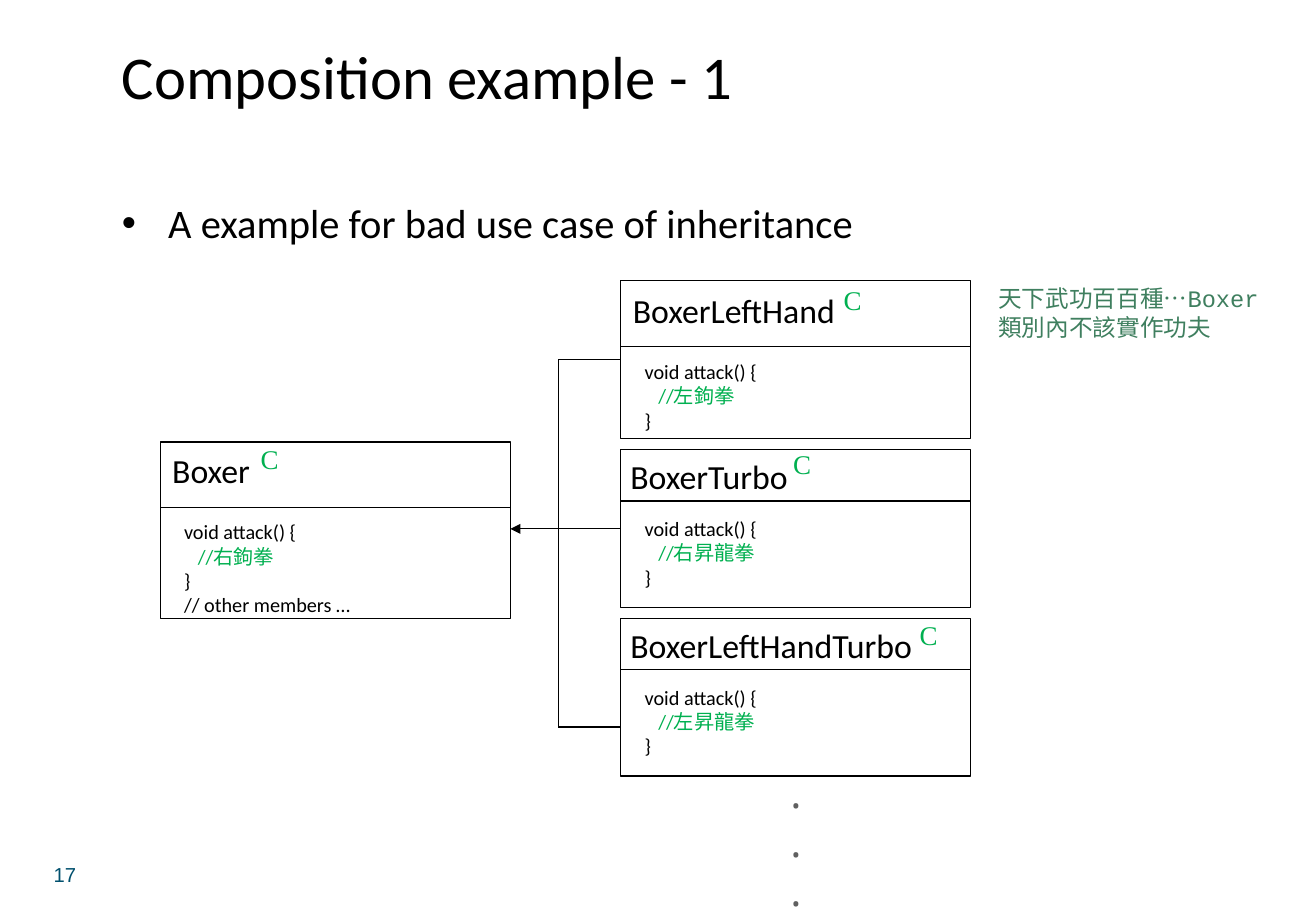
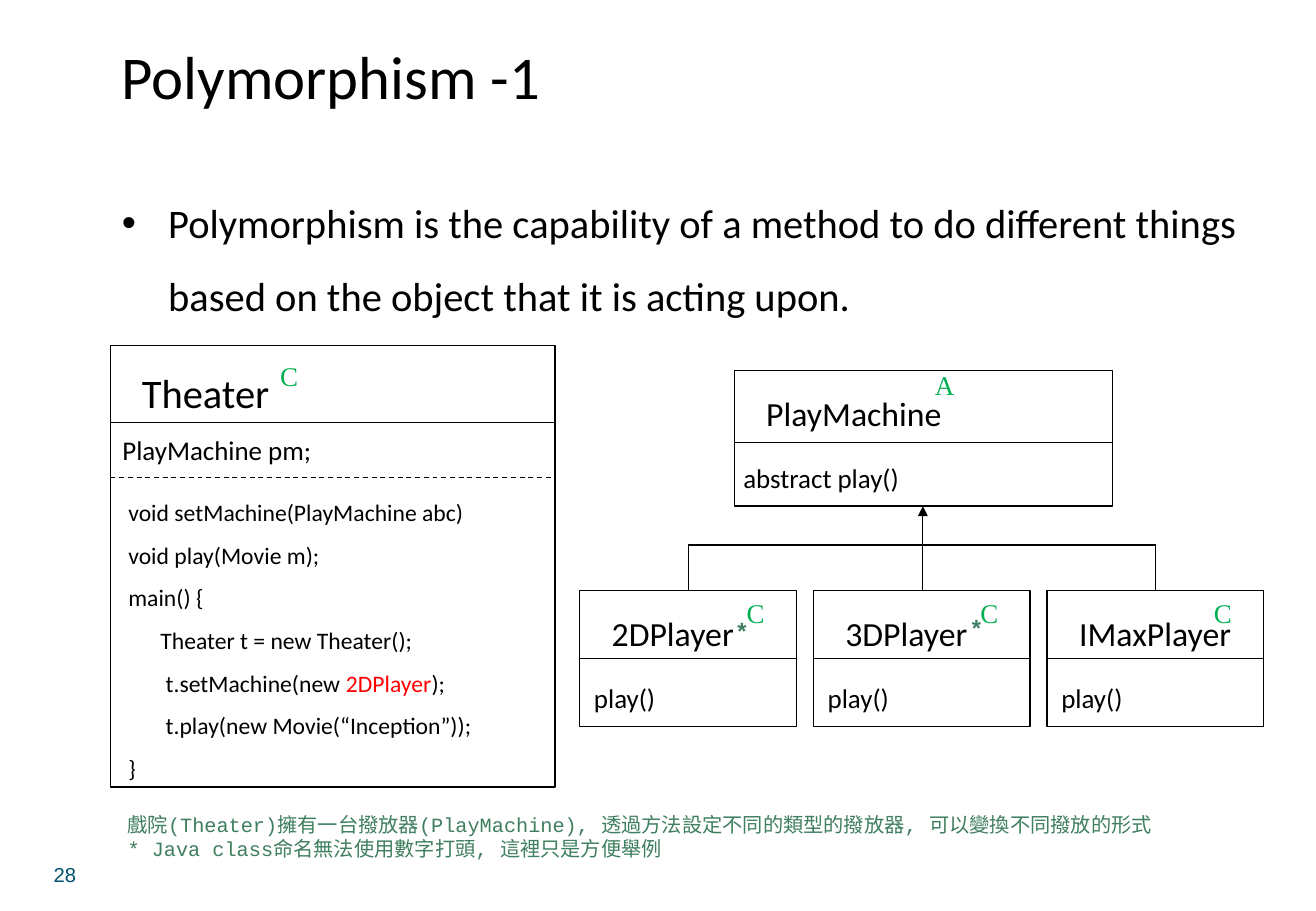
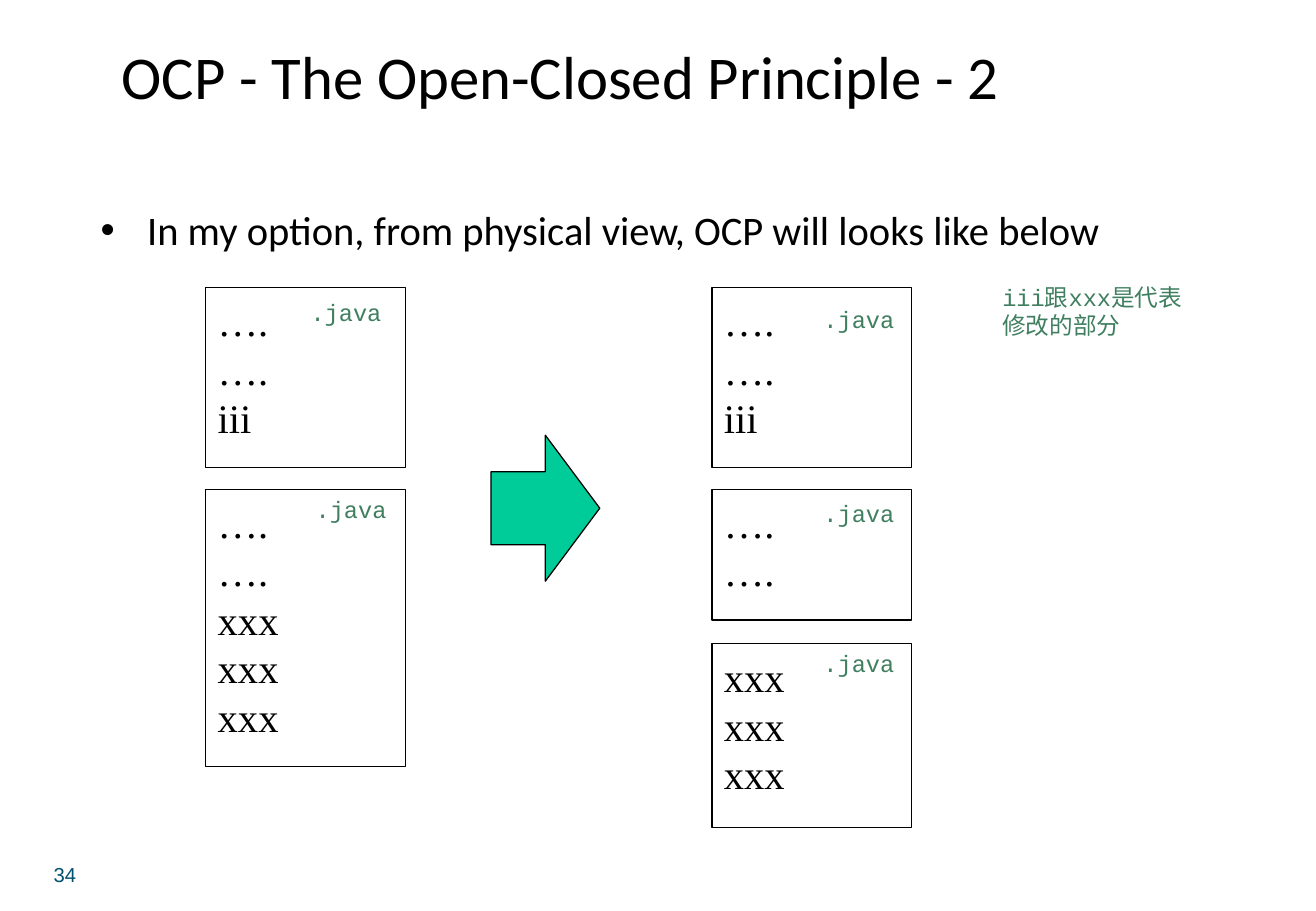
from dataclasses import dataclass

from lxml.etree import SubElement
from pptx import Presentation
from pptx.dml.color import RGBColor
from pptx.enum.dml import MSO_LINE
from pptx.enum.shapes import MSO_CONNECTOR, MSO_SHAPE
from pptx.enum.text import MSO_ANCHOR, MSO_AUTO_SIZE, PP_ALIGN
from pptx.oxml.ns import qn
from pptx.util import Pt


@dataclass(frozen=True)
class Theme:
    # Colours
    ink: str = "000000"
    comment: str = "00B050"
    note: str = "3F7F5F"
    number: str = "00506E"
    dots: str = "606060"
    alert: str = "FF0000"
    arrow: str = "00CC99"
    # Fonts
    sans: str = "Calibri"
    serif: str = "Times New Roman"
    mono: str = "Courier New"
    plain: str = "Arial"
    asian: str = "Noto Sans CJK TC"
    # Type sizes and line width
    title: float = 36
    body: float = 24
    name: float = 20
    label: float = 16
    code: float = 14
    small: float = 12
    rule: float = 0.75


THEME = Theme()


class DeckBuilder:
    """Holds the deck, its style and the slide being drawn."""

    def __init__(self, theme):
        self.theme = theme
        self.deck = Presentation()
        self.deck.slide_width, self.deck.slide_height = Pt(780), Pt(540)
        self.page = None

    # Text
    def fill_text(self, frame, lines, size, font, colour=None, spacing=None, bold=None, align=PP_ALIGN.LEFT):
        """Each line is a string or a list of (text, colour) spans."""
        frame.word_wrap = True
        frame.auto_size = MSO_AUTO_SIZE.NONE
        colour = colour or self.theme.ink
        for index, line in enumerate(lines):
            para = frame.add_paragraph() if index else frame.paragraphs[0]
            para.alignment = align
            if spacing:
                para.line_spacing = spacing
            spans = [(line, colour)] if isinstance(line, str) else line
            for words, tint in spans:
                span = para.add_run()
                span.text = words
                span.font.size = Pt(size)
                span.font.bold = bold
                span.font.name = font
                span.font.color.rgb = RGBColor.from_string(tint)
                SubElement(span.font._element, qn("a:ea")).set("typeface", self.theme.asian)

    def text(self, at, lines, size, font, **style):
        box = self.page.shapes.add_textbox(*map(Pt, at))
        self.fill_text(box.text_frame, lines, size, font, **style)

    def note(self, at, *lines, size=THEME.code, bold=None):
        self.text(at, lines, size, self.theme.mono, colour=self.theme.note, bold=bold)

    # Page with title, bullet and number
    def new_page(self, number, title, bullet, bullet_at):
        theme = self.theme
        self.page = self.deck.slides.add_slide(self.deck.slide_layouts[1])
        heading, body = self.page.placeholders
        self.place(heading, (65, 19, 643, 51))
        self.fill_text(heading.text_frame, [title], theme.title, theme.sans)
        self.place(body, bullet_at)
        self.fill_text(body.text_frame, [bullet], theme.body, theme.sans, spacing=1.5)
        para = body.text_frame.paragraphs[0]
        para.space_before = Pt(0)
        properties = para._p.get_or_add_pPr()
        properties.set("marL", str(Pt(27.5)))
        properties.set("indent", str(Pt(-27.5)))
        self.text((16.5, 507.5, 44, 16.5), [str(number)], theme.small, theme.plain,
                  colour=theme.number, align=PP_ALIGN.CENTER)

    @staticmethod
    def place(shape, at):
        shape.left, shape.top, shape.width, shape.height = map(Pt, at)

    # Shapes and lines
    def outline(self, line):
        line.color.rgb = RGBColor.from_string(self.theme.ink)
        line.width = Pt(self.theme.rule)

    def shape(self, at, kind=MSO_SHAPE.RECTANGLE, fill=None):
        shape = self.page.shapes.add_shape(kind, *map(Pt, at))
        shape.shadow.inherit = False
        if fill:
            shape.fill.solid()
            shape.fill.fore_color.rgb = RGBColor.from_string(fill)
        else:
            shape.fill.background()
        self.outline(shape.line)
        return shape

    def line(self, x1, y1, x2, y2, arrow=False, dashed=False):
        line = self.page.shapes.add_connector(MSO_CONNECTOR.STRAIGHT, Pt(x1), Pt(y1), Pt(x2), Pt(y2))
        self.outline(line.line)
        if dashed:
            line.line.dash_style = MSO_LINE.DASH
        if arrow:
            SubElement(line.line._get_or_add_ln(), qn("a:tailEnd")).set("type", "triangle")
        SubElement(line._element.spPr, qn("a:effectLst"))

    # Diagram parts
    def class_box(self, at, name, code, divider, name_at, code_at, kind_at, kind="C",
                  name_size=THEME.name, code_size=THEME.label, spacing=None):
        """Offsets are measured from the top left corner of the box."""
        theme = self.theme
        left, top, width, height = at
        self.shape(at)
        self.line(left, top + divider, left + width, top + divider)

        def inner(offset, inner_width, inner_height):
            return left + offset[0], top + offset[1], inner_width, inner_height

        self.text(inner(name_at, width - name_at[0], name_size * 1.25 + 7), [name], name_size, theme.sans)
        code_height = len(code) * code_size * 1.22 * (spacing or 1) + 7
        self.text(inner(code_at, width - code_at[0], code_height), code, code_size, theme.sans, spacing=spacing)
        self.text(inner(kind_at, 36, 24.5), [kind], theme.label, theme.serif, colour=theme.comment)

    def file_box(self, at, lines, label_at):
        frame = self.shape(at).text_frame
        frame.vertical_anchor = MSO_ANCHOR.TOP
        frame.margin_top = Pt(5)
        self.fill_text(frame, lines, self.theme.body, self.theme.serif, spacing=Pt(28.8))
        self.note((*label_at, 78, 24.5), ".java")


def attack(move):
    return ["void attack() {", [("   ", THEME.ink), ("//" + move, THEME.comment)], "}"]


def composition(builder):
    builder.new_page(17, "Composition example - 1", "A example for bad use case of inheritance",
                     (65, 99.5, 692.5, 51))
    # Base class
    builder.class_box((95, 262, 207.5, 104.5), "Boxer", attack("右鉤拳") + ["// other members …"],
                      39, (0, 1), (7, 42.5), (52.5, -3), code_size=THEME.small)
    # Subclasses: name, move, divider, name offset, code top, mark offset
    subclasses = [
        ("BoxerLeftHand", "左鉤拳", 39, (0, 1.5), 43, (125, -2)),
        ("BoxerTurbo", "右昇龍拳", 30.5, (-1.5, 0), 36, (95, -4.5)),
        ("BoxerLeftHandTurbo", "左昇龍拳", 30.5, (-1.5, 0), 36, (170, -3.5)),
    ]
    for index, (name, move, divider, name_at, code_top, kind_at) in enumerate(subclasses):
        builder.class_box((368, 166.5 + 100 * index, 207.5, 93.5), name, attack(move), divider,
                          name_at, (7, code_top), kind_at, code_size=THEME.small)
    builder.text((368, 451.5, 207.5, 88.5), ["․"] * 3, THEME.body, THEME.asian,
                 colour=THEME.dots, spacing=Pt(29), align=PP_ALIGN.CENTER)
    # Inheritance lines
    builder.line(368, 313.5, 302.5, 313.5, arrow=True)
    builder.line(331, 213, 331, 431)
    for y in (213, 431):
        builder.line(331, y, 368, y)
    builder.note((584.5, 165, 173, 41), "天下武功百百種…Boxer類別內不該實作功夫")


def polymorphism(builder):
    builder.new_page(28, "Polymorphism -1",
                     "Polymorphism is the capability of a method to do different things "
                     "based on the object that it is acting upon.", (65, 99.5, 692.5, 90))
    # Theater
    theater_code = [
        "void setMachine(PlayMachine abc)",
        "void play(Movie m);",
        "main() {",
        "      Theater t = new Theater();",
        [("       t.setMachine(new ", THEME.ink), ("2DPlayer", THEME.alert), (");", THEME.ink)],
        "       t.play(new Movie(“Inception”));",
        "}",
    ]
    builder.class_box((65.5, 205, 263.5, 261.5), "Theater", theater_code, 45.5, (11.5, 9.5),
                      (3.5, 78.5), (93.5, 4.5), name_size=THEME.body, code_size=THEME.code, spacing=1.5)
    builder.text((65.5, 253.5, 224, 24.5), ["PlayMachine pm;"], THEME.label, THEME.sans)
    builder.line(65.5, 283, 329, 283, dashed=True)
    # Machine and its players
    builder.class_box((435.5, 219.5, 224, 80.5), "PlayMachine", ["abstract play()"], 43,
                      (11.5, 9.5), (-2, 50.5), (111.5, -4.5), kind="A")
    for index, name in enumerate(("2DPlayer", "3DPlayer", "IMaxPlayer")):
        builder.class_box((343.5 + 138.5 * index, 350, 128.5, 80.5), name, ["play()"], 40.5,
                          (12, 9.5), (1.5, 50.5), (92, 0))
    # Inheritance lines
    builder.line(547, 350, 547, 300, arrow=True)
    builder.line(408, 323, 685, 323)
    for x in (408, 685):
        builder.line(x, 323, x, 350)
    # Notes
    builder.note((68.5, 478, 689, 36),
                 "戲院(Theater)擁有一台撥放器(PlayMachine), 透過方法設定不同的類型的撥放器, 可以變換不同撥放的形式",
                 "* Java class命名無法使用數字打頭, 這裡只是方便舉例", size=THEME.small)
    for x, y in ((428.5, 362), (567.5, 360.5)):
        builder.note((x, y, 26, 24.5), "*", bold=True)


def open_closed(builder):
    builder.new_page(34, "OCP - The Open-Closed Principle - 2",
                     "In my option, from physical view, OCP will looks like below",
                     (52.5, 103.5, 693.5, 51))
    # Files before and after: left, top, height, lines, label position
    files = [
        (122, 170.5, 106.5, ["….", "….", "iii"], (177, 173)),
        (122, 290, 164.5, ["….", "….", "xxx", "xxx", "xxx"], (180, 290)),
        (422, 170.5, 106.5, ["….", "….", "iii"], (481, 177)),
        (422, 290, 77.5, ["….", "…."], (481, 292)),
        (422, 381.5, 109, ["xxx"] * 3, (481, 381)),
    ]
    for left, top, height, lines, label_at in files:
        builder.file_box((left, top, 118.5, height), lines, label_at)
    builder.shape((291, 258, 64.5, 86.5), MSO_SHAPE.RIGHT_ARROW, THEME.arrow)
    builder.note((587, 164, 127, 41), "iii跟xxx是代表修改的部分")


def main():
    builder = DeckBuilder(THEME)
    for draw in (composition, polymorphism, open_closed):
        draw(builder)
    builder.deck.save("out.pptx")


if __name__ == "__main__":
    main()
